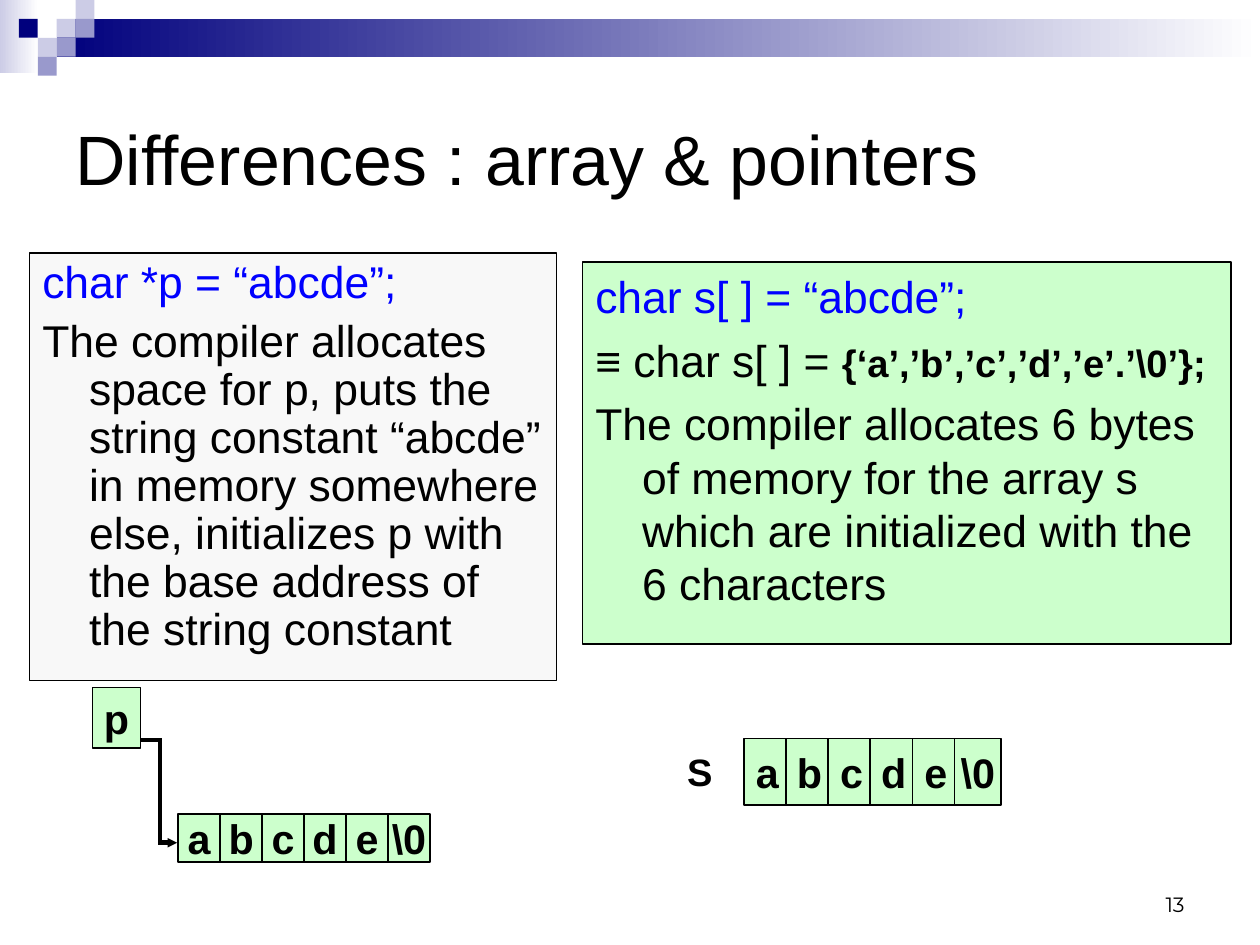
from dataclasses import dataclass
from typing import NamedTuple

from lxml import etree
from pptx import Presentation
from pptx.dml.color import RGBColor
from pptx.enum.shapes import MSO_CONNECTOR, MSO_SHAPE
from pptx.enum.text import MSO_ANCHOR, PP_ALIGN
from pptx.oxml.ns import qn
from pptx.util import Cm, Inches, Pt

RECTANGLE = MSO_SHAPE.RECTANGLE
ELBOW = MSO_CONNECTOR.ELBOW
TOP, MIDDLE, BOTTOM = MSO_ANCHOR.TOP, MSO_ANCHOR.MIDDLE, MSO_ANCHOR.BOTTOM
LEFT, CENTER, RIGHT = PP_ALIGN.LEFT, PP_ALIGN.CENTER, PP_ALIGN.RIGHT
PAGE_WIDTH, PAGE_HEIGHT = Cm(28), Cm(21)
HANGING = Inches(0.41)


@dataclass(frozen=True)
class Theme:
    navy: str = "00007D"
    lavender: str = "CCCCE6"
    violet: str = "9999CC"
    white: str = "FFFFFF"
    black: str = "000000"
    code: str = "0000FF"
    panel: str = "F8F8F8"
    mint: str = "CCFFCC"
    font: str = "Arial"
    number_font: str = "Montserrat"
    title_size: int = 44
    body_size: int = 28
    cell_size: int = 26
    label_size: int = 24
    number_size: int = 13


THEME = Theme()


class Area(NamedTuple):
    """Left, top, width and height in percent of the page."""

    left: float
    top: float
    width: float
    height: float


class Span(NamedTuple):
    text: str
    size: int = THEME.body_size
    color: str = THEME.black
    bold: bool = False
    font: str = THEME.font


class Row(NamedTuple):
    first: Area
    step: float


class Panel(NamedTuple):
    area: Area
    fill: str
    line_spacing: float
    gap: float
    paragraphs: list[list[Span]]


MODULE = Area(0, 0, 1.5, 2)
SQUARES = [
    (3, 1, THEME.lavender), (4, 0, THEME.lavender), (4, 1, THEME.violet),
    (2, 2, THEME.lavender), (1, 1, THEME.navy), (3, 2, THEME.violet),
    (2, 3, THEME.violet),
]
GRADIENTS = [
    (Area(0, 0, 3.05, 7.75), THEME.lavender),
    (Area(4.5, 2, 95.5, 4), THEME.navy),
]
PANELS = [
    Panel(Area(2.36, 26.78, 41.83, 45.22), THEME.panel, 0.9, 7, [
        [Span("char *p = “abcde”;", color=THEME.code)],
        [Span("The compiler allocates space for p, puts the string constant "
              "“abcde” in memory somewhere else, initializes p with the base "
              "address of the string constant")],
    ]),
    Panel(Area(46.25, 27.75, 51.45, 40.39), THEME.mint, 1.0, 6.5, [
        [Span("char s[ ] = “abcde”;", color=THEME.code)],
        [Span("≡ char s[ ] = "),
         Span("{‘a’,’b’,’c’,’d’,’e’.’\\0’};", THEME.label_size, bold=True)],
        [Span("The compiler allocates 6 bytes of memory for the array s "
              "which are initialized with the 6 characters")],
    ]),
]
CHARACTERS = ["a", "b", "c", "d", "e", "\\0"]
ROWS = [
    Row(Area(59.05, 78.17, 3.72, 7.01), 3.34),
    Row(Area(14.15, 86.16, 3.33, 5.08), 3.33),
]


def across(share: float) -> int:
    return round(PAGE_WIDTH * share / 100)


def down(share: float) -> int:
    return round(PAGE_HEIGHT * share / 100)


def bounds(area: Area) -> tuple[int, int, int, int]:
    return across(area.left), down(area.top), across(area.width), down(area.height)


def add_rectangle(page, area: Area, fill: str, outlined: bool = False):
    box = page.shapes.add_shape(RECTANGLE, *bounds(area))
    box.shadow.inherit = False
    box.fill.solid()
    box.fill.fore_color.rgb = RGBColor.from_string(fill)
    if outlined:
        box.line.color.rgb = RGBColor.from_string(THEME.black)
        box.line.width = Pt(1)
    else:
        box.line.fill.background()
    return box


def add_gradient(page, area: Area, color: str) -> None:
    box = add_rectangle(page, area, color)
    box.fill.gradient()
    box.fill.gradient_angle = 0
    for stop, shade in zip(box.fill.gradient_stops, (color, THEME.white)):
        stop.color.rgb = RGBColor.from_string(shade)


def write(box, paragraphs: list[list[Span]], *, anchor=TOP, align=LEFT,
          wrap: bool = True, inset: tuple[float, float] = (0.11, 0.06),
          line_spacing: float = 1.0, gap: float = 0, hanging: bool = False) -> None:
    frame = box.text_frame
    frame.word_wrap = wrap
    frame.vertical_anchor = anchor
    frame.margin_left = frame.margin_right = Inches(inset[0])
    frame.margin_top = frame.margin_bottom = Inches(inset[1])
    for index, spans in enumerate(paragraphs):
        para = frame.add_paragraph() if index else frame.paragraphs[0]
        para.alignment = align
        para.line_spacing = line_spacing
        para.space_before = Pt(gap if index else 0)
        if hanging:
            properties = para._p.get_or_add_pPr()
            properties.set("marL", str(HANGING))
            properties.set("indent", str(-HANGING))
        for span in spans:
            run = para.add_run()
            run.text = span.text
            run.font.name = span.font
            run.font.size = Pt(span.size)
            run.font.bold = span.bold
            run.font.color.rgb = RGBColor.from_string(span.color)


def add_label(page, area: Area, span: Span, **text_format) -> None:
    write(page.shapes.add_textbox(*bounds(area)), [[span]], **text_format)


def add_cell(page, area: Area, text: str) -> None:
    box = add_rectangle(page, area, THEME.mint, outlined=True)
    write(box, [[Span(text, THEME.cell_size, bold=True)]], anchor=MIDDLE,
          align=CENTER, wrap=False, inset=(0.1, 0.05))


def add_pointer(page) -> None:
    pointer = page.shapes.add_connector(
        ELBOW, across(11.34), down(78.3), across(14.07), down(89.18))
    pointer.line.color.rgb = RGBColor.from_string(THEME.black)
    pointer.line.width = Pt(3)
    line = pointer.line._get_or_add_ln()
    line.set("cap", "sq")
    etree.SubElement(line, qn("a:miter"), lim="800000")
    etree.SubElement(line, qn("a:tailEnd"), type="triangle", w="sm", len="sm")
    etree.SubElement(pointer._element.spPr, qn("a:effectLst"))


def main() -> None:
    deck = Presentation()
    deck.slide_width, deck.slide_height = PAGE_WIDTH, PAGE_HEIGHT
    page = deck.slides.add_slide(deck.slide_layouts[6])
    for area, color in GRADIENTS:
        add_gradient(page, area, color)
    for column, row, color in SQUARES:
        add_rectangle(page, MODULE._replace(
            left=column * MODULE.width, top=row * MODULE.height), color)
    add_label(page, Area(71.69, 91.05, 23.32, 6.65),
              Span("13", THEME.number_size, font=THEME.number_font),
              anchor=BOTTOM, align=RIGHT)
    add_label(page, Area(5, 6.65, 90, 19.95),
              Span("Differences : array & pointers", THEME.title_size), anchor=MIDDLE)
    for panel in PANELS:
        write(add_rectangle(page, panel.area, panel.fill, outlined=True),
              panel.paragraphs, line_spacing=panel.line_spacing, gap=panel.gap,
              hanging=True)
    for first, step in ROWS:
        for index, character in enumerate(CHARACTERS):
            add_cell(page, first._replace(left=first.left + index * step), character)
    add_cell(page, Area(7.35, 72.75, 3.81, 6.41), "p")
    add_pointer(page)
    add_label(page, Area(54.54, 79.15, 3.81, 4.84),
              Span("S", THEME.label_size, bold=True), inset=(0, 0))
    deck.save("out.pptx")


if __name__ == "__main__":
    main()
